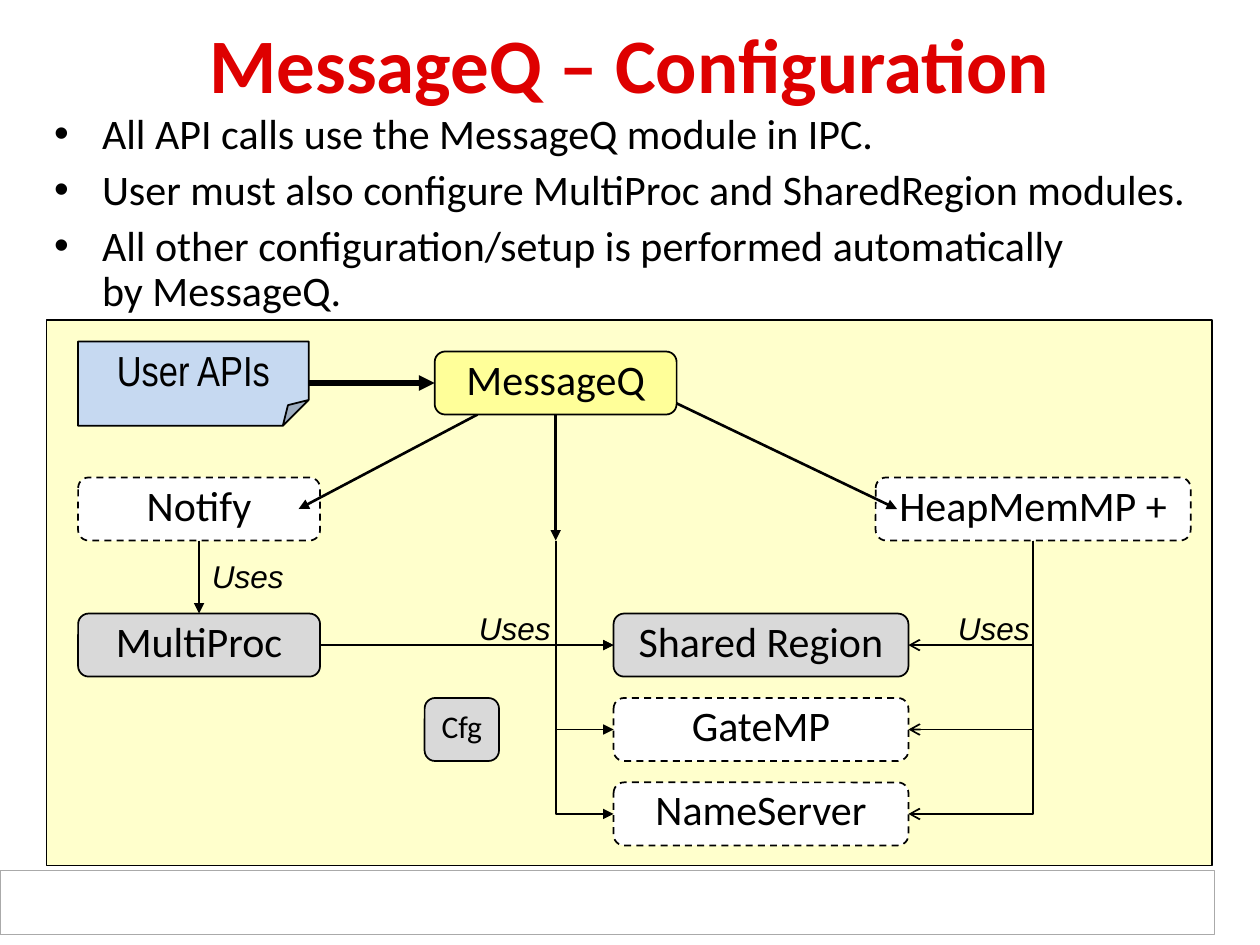
"""Build the MessageQ configuration slide with its module dependency diagram."""
from dataclasses import dataclass

from lxml import etree
from pptx import Presentation
from pptx.dml.color import RGBColor
from pptx.enum import dml, shapes, text
from pptx.oxml import ns
from pptx.util import Inches, Pt

BLACK, WHITE, GREY = "000000", "FFFFFF", "D9D9D9"
PRESET = shapes.MSO_SHAPE
ROW_H = 0.5
NOTIFY_Y, SHARED_Y, GATE_Y, NAME_Y = 3.79, 4.87, 5.54, 6.21
LEFT_X, SERVICE_X, SERVICE_W = 0.62, 4.87, 2.34
HUB_X, HEAP_X = 4.41, 8.2
BULLETS = [
    "All API calls use the MessageQ module in IPC.",
    "User must also configure MultiProc and SharedRegion modules.",
    "All other configuration/setup is performed automatically\vby MessageQ.",
]


@dataclass
class Module:
    label: str
    left: float
    top: float
    width: float
    fill: str = WHITE
    dashed: bool = False
    size: int = 24


@dataclass
class Link:
    start: tuple[float, float]
    end: tuple[float, float]
    weight: float = 1
    head: str = "triangle"


MODULES = [
    Module("Notify", LEFT_X, NOTIFY_Y, 1.92, dashed=True),
    Module("MultiProc", LEFT_X, SHARED_Y, 1.92, GREY),
    Module("Shared Region", SERVICE_X, SHARED_Y, SERVICE_W, GREY),
    Module("GateMP", SERVICE_X, GATE_Y, SERVICE_W, dashed=True),
    Module("NameServer", SERVICE_X, NAME_Y, SERVICE_W, dashed=True),
    Module("HeapMemMP +", 6.95, NOTIFY_Y, 2.5, dashed=True),
    Module("Cfg", 3.37, GATE_Y, 0.59, GREY, size=18),
]
HUB = Module("MessageQ", 3.45, 2.79, 1.92, "FFFF99")
LINKS = [
    Link((1.58, 4.29), (1.58, SHARED_Y)),
    Link((2.54, 5.12), (SERVICE_X, 5.12)),
    Link((3.79, 3.29), (2.37, 4.04), 1.5),
    Link((HUB_X, 3.29), (HUB_X, 4.29), 1.5),
    Link((5.2, 3.12), (7.12, 4.04), 1.5),
    Link((2.45, 3.04), (3.45, 3.04), 3),
]
USES_LABELS = [(1.54, 4.37), (3.66, 4.78), (7.46, 4.78)]


def color(value: str) -> RGBColor:
    return RGBColor.from_string(value)


def style_font(font, name: str, size: int, value: str = BLACK) -> None:
    font.name, font.size = name, Pt(size)
    font.color.rgb = color(value)


def place(item, left: float, top: float, width: float, height: float) -> None:
    item.left, item.top = Inches(left), Inches(top)
    item.width, item.height = Inches(width), Inches(height)


def add_box(slide, preset, left: float, top: float, width: float, height: float,
            fill: str, line: str = BLACK, weight: float = 1):
    box = slide.shapes.add_shape(
        preset, Inches(left), Inches(top), Inches(width), Inches(height))
    box.shadow.inherit = False
    box.fill.solid()
    box.fill.fore_color.rgb = color(fill)
    box.line.color.rgb = color(line)
    box.line.width = Pt(weight)
    return box


def write_label(box, label: str, font_name: str, size: int) -> None:
    paragraph = box.text_frame.paragraphs[0]
    paragraph.text = label
    paragraph.alignment = text.PP_ALIGN.CENTER
    paragraph.line_spacing = 0.8
    style_font(paragraph.runs[0].font, font_name, size)


def add_module(slide, module: Module) -> None:
    box = add_box(slide, PRESET.ROUNDED_RECTANGLE, module.left, module.top,
                  module.width, ROW_H, module.fill)
    if module.dashed:
        box.line.dash_style = dml.MSO_LINE.DASH
    box.text_frame.vertical_anchor = text.MSO_ANCHOR.MIDDLE
    write_label(box, module.label, "Calibri", module.size)


def add_link(slide, link: Link, kind=shapes.MSO_CONNECTOR.STRAIGHT):
    connector = slide.shapes.add_connector(
        kind, *(Inches(value) for value in link.start + link.end))
    connector.line.color.rgb = color(BLACK)
    connector.line.width = Pt(link.weight)
    etree.SubElement(connector.line._get_or_add_ln(), ns.qn("a:tailEnd"), type=link.head)
    etree.SubElement(connector._element.spPr, ns.qn("a:effectLst"))
    return connector


def add_elbow(slide, link: Link) -> None:
    connector = add_link(slide, link, shapes.MSO_CONNECTOR.ELBOW)
    (x1, y1), (x2, y2) = link.start, link.end
    across, down = abs(x2 - x1), y2 - y1
    place(connector, (x1 + x2 - down) / 2, (y1 + y2 - across) / 2, down, across)
    properties = connector._element.spPr
    properties.find(ns.qn("a:prstGeom")).set("prst", "bentConnector2")
    frame = properties.find(ns.qn("a:xfrm"))
    frame.attrib.pop("flipH", None)
    if x2 > x1:
        frame.set("flipH", "1")
    frame.set("rot", str((270 if x2 > x1 else 90) * 60000))


def add_uses_label(slide, left: float, top: float) -> None:
    label = slide.shapes.add_textbox(Inches(left), Inches(top), Inches(0.81), Inches(0.4))
    label.text_frame.word_wrap = False
    label.text_frame.vertical_anchor = text.MSO_ANCHOR.MIDDLE
    paragraph = label.text_frame.paragraphs[0]
    paragraph.text = "Uses"
    paragraph.alignment = text.PP_ALIGN.RIGHT
    style_font(paragraph.runs[0].font, "Arial", 18)
    paragraph.runs[0].font.italic = True


def fill_title(title) -> None:
    place(title, 0.5, 0.08, 9, 0.83)
    title.text_frame.text = "MessageQ – Configuration"
    title.text_frame.vertical_anchor = text.MSO_ANCHOR.MIDDLE
    title.text_frame.auto_size = text.MSO_AUTO_SIZE.NONE
    font = title.text_frame.paragraphs[0].runs[0].font
    style_font(font, "Calibri", 44, "DE0000")
    font.bold = True


def fill_bullets(body) -> None:
    place(body, 0.33, 0.84, 9.26, 1.72)
    frame = body.text_frame
    frame.vertical_anchor = text.MSO_ANCHOR.MIDDLE
    frame.auto_size = text.MSO_AUTO_SIZE.NONE
    for index, bullet in enumerate(BULLETS):
        paragraph = frame.add_paragraph() if index else frame.paragraphs[0]
        paragraph.text = bullet
        paragraph.line_spacing = 0.9
        paragraph.space_before = Pt(6 if index else 0)
        properties = paragraph._p.get_or_add_pPr()
        properties.set("marL", str(Inches(0.38)))
        properties.set("indent", str(-Inches(0.38)))
        for run in paragraph.runs:
            style_font(run.font, "Calibri", 24)


def add_user_apis(slide) -> None:
    note = add_box(slide, PRESET.FOLDED_CORNER, LEFT_X, 2.71, 1.83, 0.67, "C6D9F1")
    guides = note._element.spPr.find(ns.qn("a:prstGeom")).get_or_add_avLst()
    etree.SubElement(guides, ns.qn("a:gd"), name="adj", fmla="val 30600")
    note.text_frame.margin_top = Inches(0.1)
    note.text_frame.vertical_anchor = text.MSO_ANCHOR.TOP
    write_label(note, "User APIs", "Arial Narrow", 24)


def main() -> None:
    deck = Presentation()
    deck.slide_width, deck.slide_height = Inches(10), Inches(7.5)
    slide = deck.slides.add_slide(deck.slide_layouts[1])
    fill_title(slide.shapes.title)
    fill_bullets(slide.placeholders[1])
    add_box(slide, PRESET.RECTANGLE, 0, 6.91, 9.64, 0.51, WHITE, "AAAAAA", 0.75)
    add_box(slide, PRESET.RECTANGLE, 0.37, 2.54, 9.25, 4.33, "FFFFCC")
    add_user_apis(slide)
    for module in MODULES:
        add_module(slide, module)
    for top in (SHARED_Y, GATE_Y, NAME_Y):
        middle = top + ROW_H / 2
        add_elbow(slide, Link((HUB_X, 4.29), (SERVICE_X, middle)))
        add_elbow(slide, Link((HEAP_X, 4.29), (SERVICE_X + SERVICE_W, middle), head="arrow"))
    for link in LINKS:
        add_link(slide, link)
    for left, top in USES_LABELS:
        add_uses_label(slide, left, top)
    add_module(slide, HUB)
    deck.save("out.pptx")


if __name__ == "__main__":
    main()
